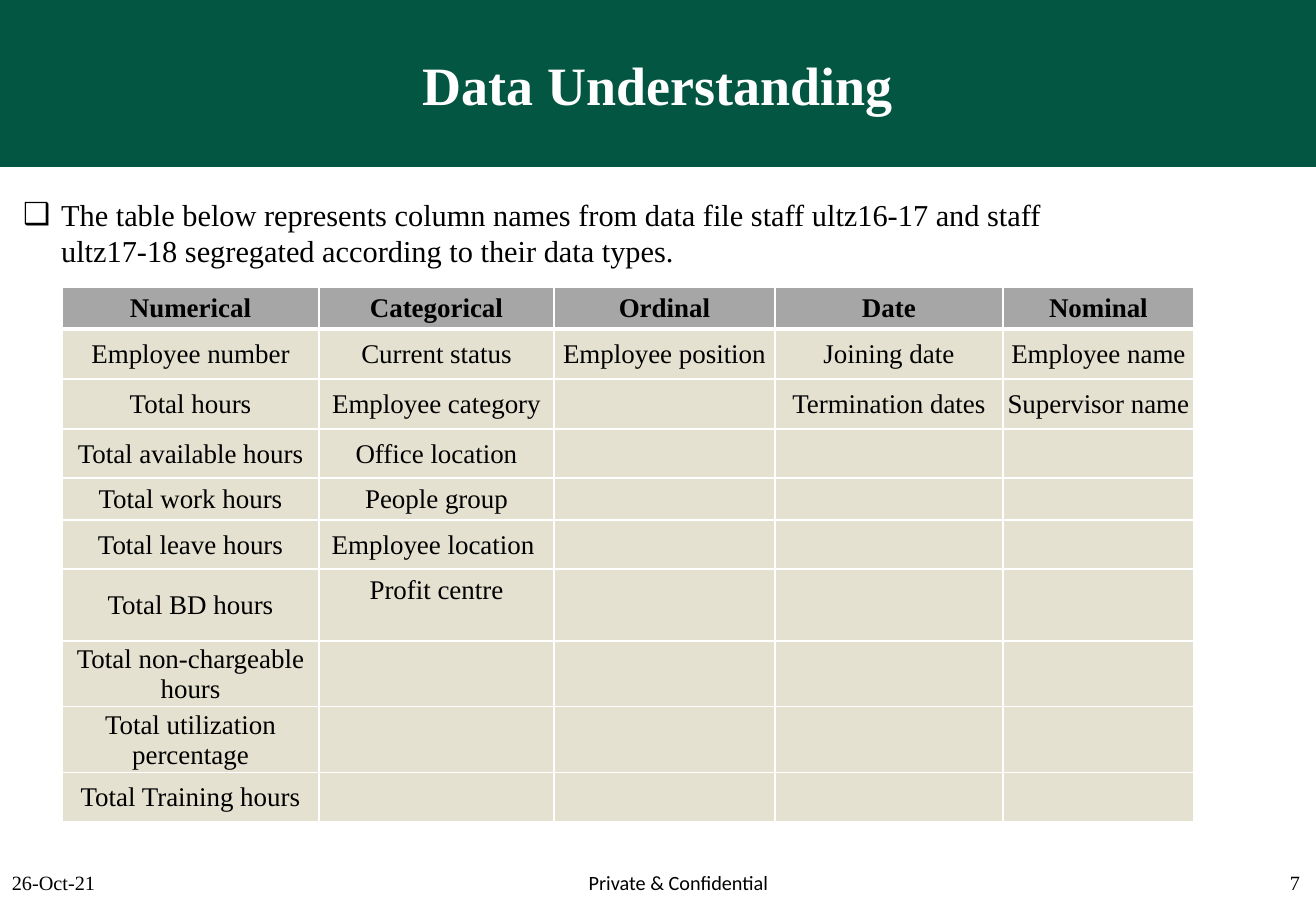
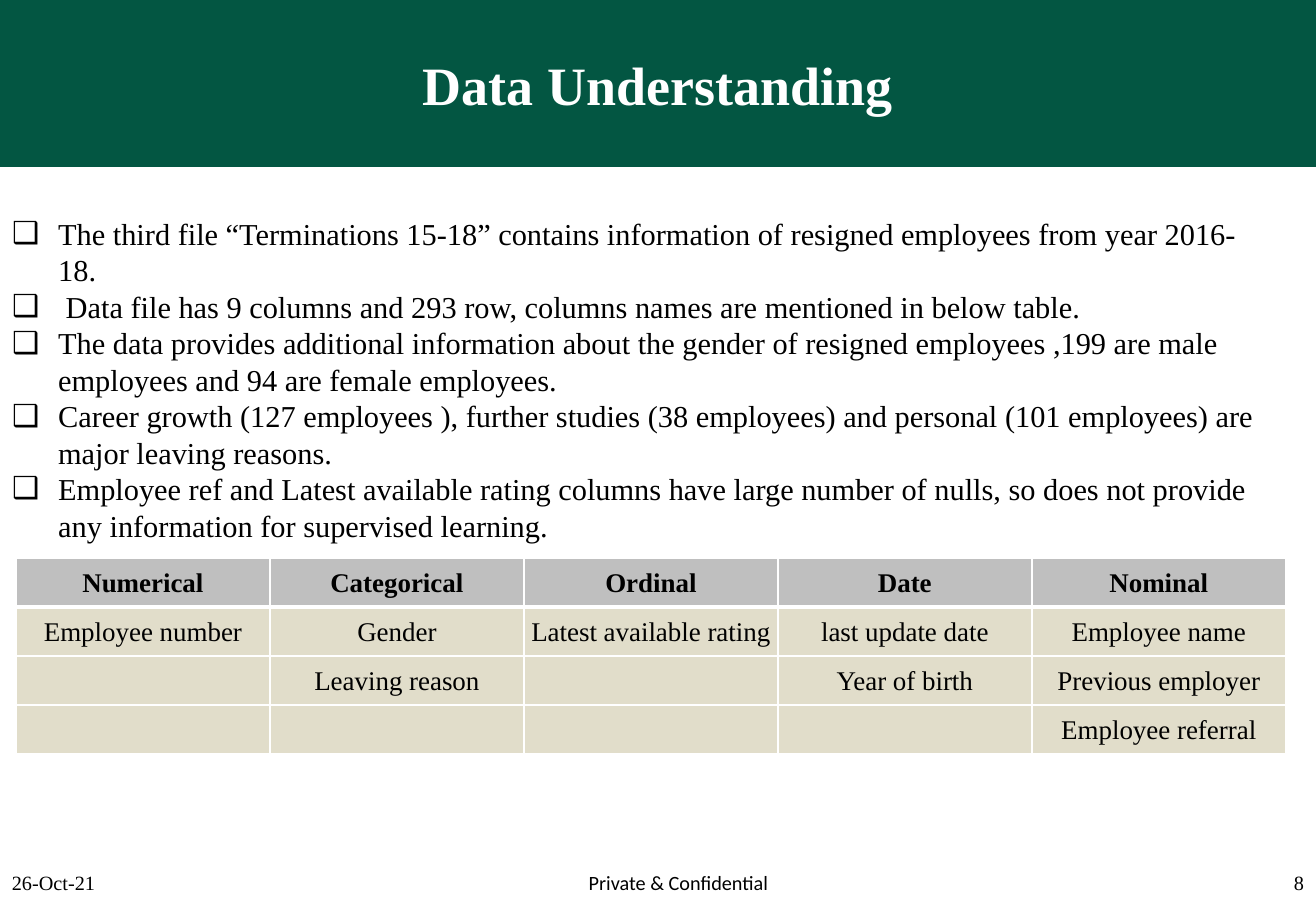
from pptx import Presentation
from pptx.dml.color import RGBColor
from pptx.enum.text import MSO_ANCHOR as Anchor, MSO_AUTO_SIZE as AutoSize, PP_ALIGN as Align
from pptx.oxml.ns import qn
from pptx.util import Emu, Pt
from lxml.etree import SubElement

PX_PER_INCH = 121.5
SLIDE_W, SLIDE_H = 1316, 911
SERIF, SANS = "Times New Roman", "Calibri"
COLORS = {
    "band": "035642",
    "white": "FFFFFF",
    "text": "000000",
    "header": "A6A6A6",
    "header_clear": "808080",
    "cell": "C4BD97",
}
HEADINGS = ["Numerical", "Categorical", "Ordinal", "Date", "Nominal"]


def px(length):
    return Emu(round(length * 914400 / PX_PER_INCH))


def px_box(box):
    return [px(length) for length in box]


def color(name):
    return RGBColor.from_string(COLORS[name])


def style(paragraph, size, ink="text", face=SERIF, bold=False, align=Align.LEFT):
    paragraph.alignment = align
    for run in paragraph.runs:
        run.font.size = Pt(size)
        run.font.name = face
        run.font.bold = bold
        run.font.color.rgb = color(ink)


def place(placeholder, box):
    placeholder.left, placeholder.top, placeholder.width, placeholder.height = px_box(box)
    placeholder.text_frame.auto_size = AutoSize.NONE


def add_title_band(slide, text, box):
    title = slide.shapes.title
    place(title, box)
    title.fill.solid()
    title.fill.fore_color.rgb = color("band")
    title.text_frame.text = text
    title.text_frame.vertical_anchor = Anchor.MIDDLE
    style(title.text_frame.paragraphs[0], 32, "white", bold=True, align=Align.CENTER)


def add_bullets(slide, lines, box, indent):
    body = slide.placeholders[1]
    place(body, box)
    frame = body.text_frame
    frame.vertical_anchor = Anchor.TOP
    frame.text = "\n".join(lines)
    for paragraph in frame.paragraphs:
        properties = paragraph._p.get_or_add_pPr()
        properties.set("marL", str(px(indent)))
        properties.set("indent", str(-px(indent)))
        SubElement(properties, qn("a:buChar")).set("char", "❑")
        paragraph.space_before = Pt(0)
        style(paragraph, 18)


def add_footer(slide, number, box, number_right):
    left, top, width, height = box
    parts = [
        ("26-Oct-21", left, 307, SERIF, Align.LEFT),
        ("Private & Confidential", left + 470, 417, SANS, Align.CENTER),
        (str(number), left + number_right - 307, 307, SERIF, Align.RIGHT),
    ]
    for text, part_left, part_width, face, align in parts:
        part = slide.shapes.add_textbox(*px_box((part_left, top, part_width, height)))
        part.text_frame.word_wrap = True
        part.text_frame.text = text
        style(part.text_frame.paragraphs[0], 12, face=face, align=align)


def fill_cell(cell, name, opacity):
    cell.fill.solid()
    cell.fill.fore_color.rgb = color(name)
    if opacity < 100:
        rgb = cell._tc.tcPr.find(".//" + qn("a:srgbClr"))
        SubElement(rgb, qn("a:alpha")).set("val", str(opacity * 1000))


def border_cell(cell, top, bottom):
    """Draw white borders; top and bottom are widths in points."""
    properties = cell._tc.get_or_add_tcPr()
    widths = {"a:lnL": 1, "a:lnR": 1, "a:lnT": top, "a:lnB": bottom}
    for position, (side, width) in enumerate(widths.items()):
        line = SubElement(properties, qn(side))
        line.set("w", str(Pt(width)))
        fill = SubElement(line, qn("a:solidFill"))
        SubElement(fill, qn("a:srgbClr")).set("val", COLORS["white"])
        properties.insert(position, line)


def add_type_table(slide, columns, corner, widths, heights, header, opacity, top_cells=()):
    """Set one column per data type; (row, column) pairs in top_cells hold their text at the top."""
    box = (*corner, sum(widths), sum(heights))
    table = slide.shapes.add_table(len(heights), len(widths), *px_box(box)).table
    table.horz_banding = False
    for column, width in zip(table.columns, widths):
        column.width = px(width)
    for row, height in zip(table.rows, heights):
        row.height = px(height)
    header_name, header_opacity = header
    for c, (heading, entries) in enumerate(zip(HEADINGS, columns)):
        texts = [heading, *entries]
        for r in range(len(heights)):
            cell = table.cell(r, c)
            is_header = r == 0
            cell.margin_left = cell.margin_right = cell.margin_top = px(1)
            cell.margin_bottom = 0
            cell.vertical_anchor = Anchor.MIDDLE
            if (r, c) in top_cells:
                cell.vertical_anchor = Anchor.TOP
                cell.margin_top = px(6)
            if r < len(texts):
                cell.text_frame.text = texts[r]
                style(cell.text_frame.paragraphs[0], 16, bold=is_header, align=Align.CENTER)
            if is_header:
                fill_cell(cell, header_name, header_opacity)
            else:
                fill_cell(cell, "cell", opacity)
            border_cell(cell, 3 if r == 1 else 1, 3 if is_header else 1)


def add_slide(deck, number, number_right):
    slide = deck.slides.add_slide(deck.slide_layouts[1])
    add_title_band(slide, "Data Understanding", (0, 0, SLIDE_W, 167))
    add_footer(slide, number, (0, 864, SLIDE_W, 47), number_right)
    return slide


def build_staff_slide(deck):
    slide = add_slide(deck, 7, SLIDE_W - 4)
    add_bullets(slide, [
        "The table below represents column names from data file staff ultz16-17 and staff "
        "ultz17-18 segregated according to their data types.",
    ], (11, 190, 1134, 86), 38)
    add_type_table(slide, [
        ["Employee number", "Total hours", "Total available hours", "Total work hours",
         "Total leave hours", "Total BD hours", "Total non-chargeable hours",
         "Total utilization percentage", "Total Training hours"],
        ["Current status", "Employee category", "Office location", "People group",
         "Employee location ", "Profit centre"],
        ["Employee position"],
        ["Joining date", "Termination dates"],
        ["Employee name", "Supervisor name"],
    ], (62, 287), [257, 235, 221, 228, 191], [42, 50, 50, 49, 42, 49, 72, 63, 62, 49],
        ("header", 100), 45, top_cells=[(6, 1)])


def build_terminations_slide(deck):
    slide = add_slide(deck, 8, SLIDE_W)
    add_bullets(slide, [
        "The third file “Terminations 15-18” contains information of resigned employees "
        "from year 2016-18.",
        " Data file has 9 columns and 293 row, columns names are mentioned in below table.",
        "The data provides additional information about the gender of resigned employees "
        ",199 are male employees and 94 are female employees.",
        "Career growth (127 employees ), further studies (38 employees) and personal "
        "(101 employees) are major leaving reasons.",
        "Employee ref and Latest available rating columns have large number of nulls, so "
        "does not provide any information for supervised learning.",
    ], (0, 209, 1285, 344), 46)
    add_type_table(slide, [
        ["Employee number"],
        ["Gender", "Leaving reason"],
        ["Latest available rating"],
        ["last update date", "Year of birth"],
        ["Employee name", "Previous employer", "Employee referral"],
    ], (16, 558), [254] * 5, [49] * 4, ("header_clear", 50), 50)


def main():
    deck = Presentation()
    deck.slide_width, deck.slide_height = px(SLIDE_W), px(SLIDE_H)
    build_staff_slide(deck)
    build_terminations_slide(deck)
    deck.save("out.pptx")


if __name__ == "__main__":
    main()
